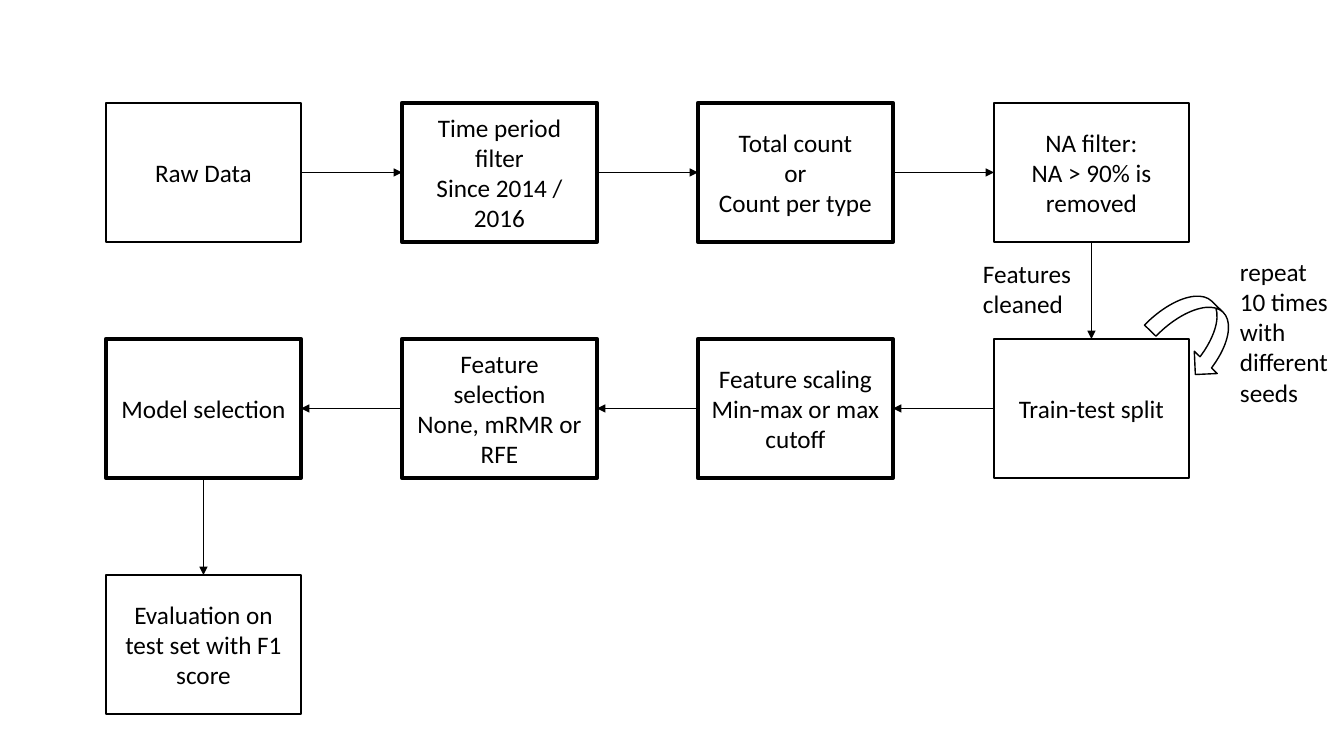
from pptx import Presentation
from pptx.dml.color import RGBColor
from pptx.enum.shapes import MSO_CONNECTOR as Link, MSO_SHAPE as Kind
from pptx.enum.text import MSO_ANCHOR as Anchor, MSO_AUTO_SIZE as Auto, PP_ALIGN as Align
from pptx.oxml.ns import qn
from pptx.util import Pt
from lxml.etree import SubElement

BLACK = RGBColor(0, 0, 0)

# Steps in flow order: column, row, line width, paragraphs
STEPS = [
    (0, 0, 1, ["Raw Data"]),
    (1, 0, 3, ["Time period filter", "Since 2014 / 2016"]),
    (2, 0, 3, ["Total count", "or", "Count per type"]),
    (3, 0, 1, ["NA filter:", "NA > 90% is removed"]),
    (3, 1, 1, ["Train-test split"]),
    (2, 1, 3, ["Feature scaling", "Min-max or max cutoff"]),
    (1, 1, 3, ["Feature selection", "None, mRMR or RFE"]),
    (0, 1, 3, ["Model selection"]),
    (0, 2, 1, ["Evaluation on test set with F1 score"]),
]
# Side notes: text and left, top, width, height
NOTES = [
    ("Features cleaned", (973, 253, 119, 72)),
    ("repeat 10 times with different seeds", (1230, 251, 111, 163)),
]
LOOP = (1166, 289, 64, 87)

# Grid of boxes, and connection sites (from, to) by direction of flow
LEFT, TOP, WIDE, HIGH = 106, 103, 195, 139
STEP_X, STEP_Y = 296, 236
SITES = {(1, 0): (3, 1), (-1, 0): (1, 3), (0, 1): (2, 0)}
FONT = {"name": "Calibri", "size": Pt(18)}


def emu(*sizes):
    return [round(size * 914400 / 100.8) for size in sizes]


def write(shape, lines, align):
    frame = shape.text_frame
    frame.word_wrap = True
    frame.text = "\n".join(lines)
    for para in frame.paragraphs:
        para.alignment = align
        for key, value in FONT.items():
            setattr(para.font, key, value)
        para.font.color.rgb = BLACK
    return frame


def draw(kind, place, width):
    shape = slide.shapes.add_shape(kind, *emu(*place))
    shape.shadow.inherit = False
    shape.fill.background()
    shape.line.color.rgb = BLACK
    shape.line.width = Pt(width)
    return shape


def join(start, end, sites):
    line = slide.shapes.add_connector(Link.STRAIGHT, 0, 0, 0, 0)
    line.begin_connect(start, sites[0])
    line.end_connect(end, sites[1])
    line.line.color.rgb = BLACK
    line.line.width = Pt(0.5)
    SubElement(line.line._get_or_add_ln(), qn("a:tailEnd"), type="triangle")
    SubElement(line._element.spPr, qn("a:effectLst"))


deck = Presentation()
deck.slide_width, deck.slide_height = emu(1344, 756)
slide = deck.slides.add_slide(deck.slide_layouts[6])

# Boxes
boxes = []
for col, row, width, lines in STEPS:
    place = LEFT + col * STEP_X, TOP + row * STEP_Y, WIDE, HIGH
    box = draw(Kind.RECTANGLE, place, width)
    write(box, lines, Align.CENTER).vertical_anchor = Anchor.MIDDLE
    boxes.append(box)

# Arrows from each step to the next
for i, (a, b) in enumerate(zip(STEPS, STEPS[1:])):
    join(boxes[i], boxes[i + 1], SITES[b[0] - a[0], b[1] - a[1]])

# Repeat loop and side notes
draw(Kind.CURVED_LEFT_ARROW, LOOP, 1).rotation = 314.2
for text, place in NOTES:
    note = slide.shapes.add_textbox(*emu(*place))
    write(note, [text], Align.LEFT).auto_size = Auto.SHAPE_TO_FIT_TEXT

deck.save("out.pptx")
